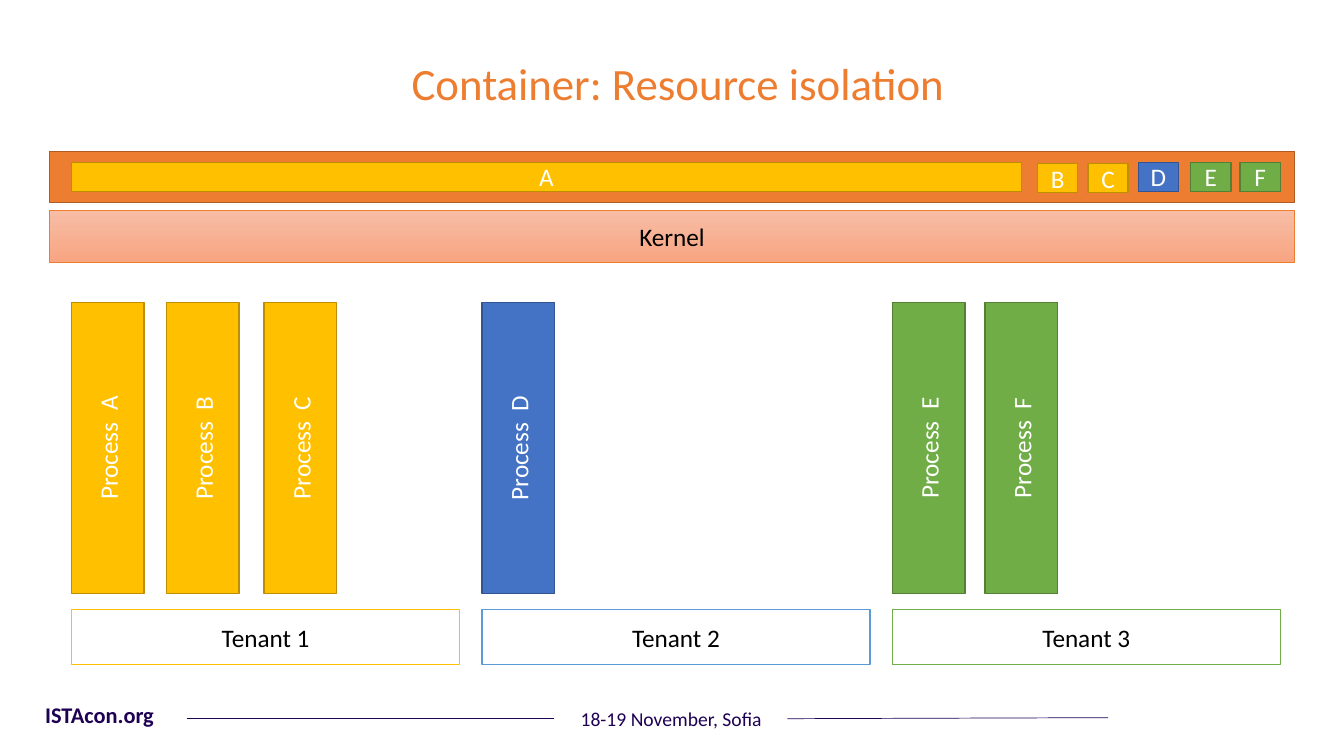
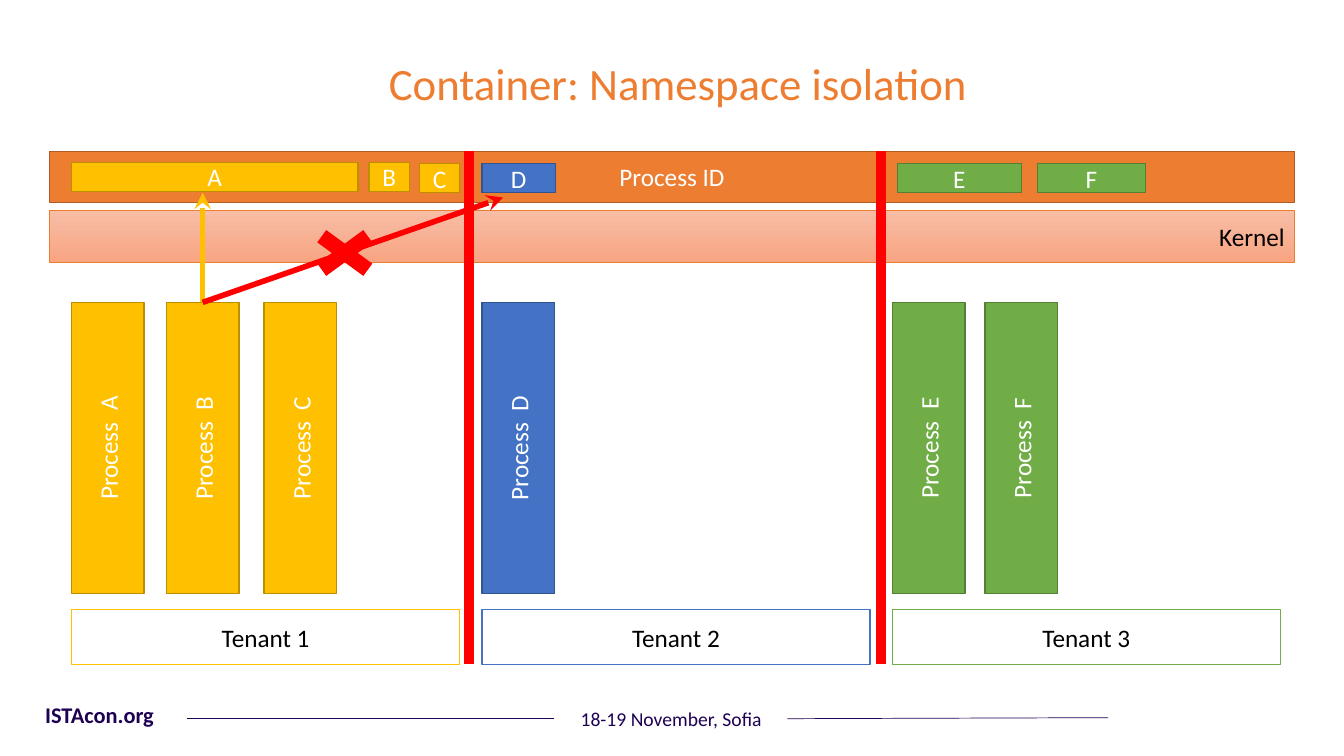
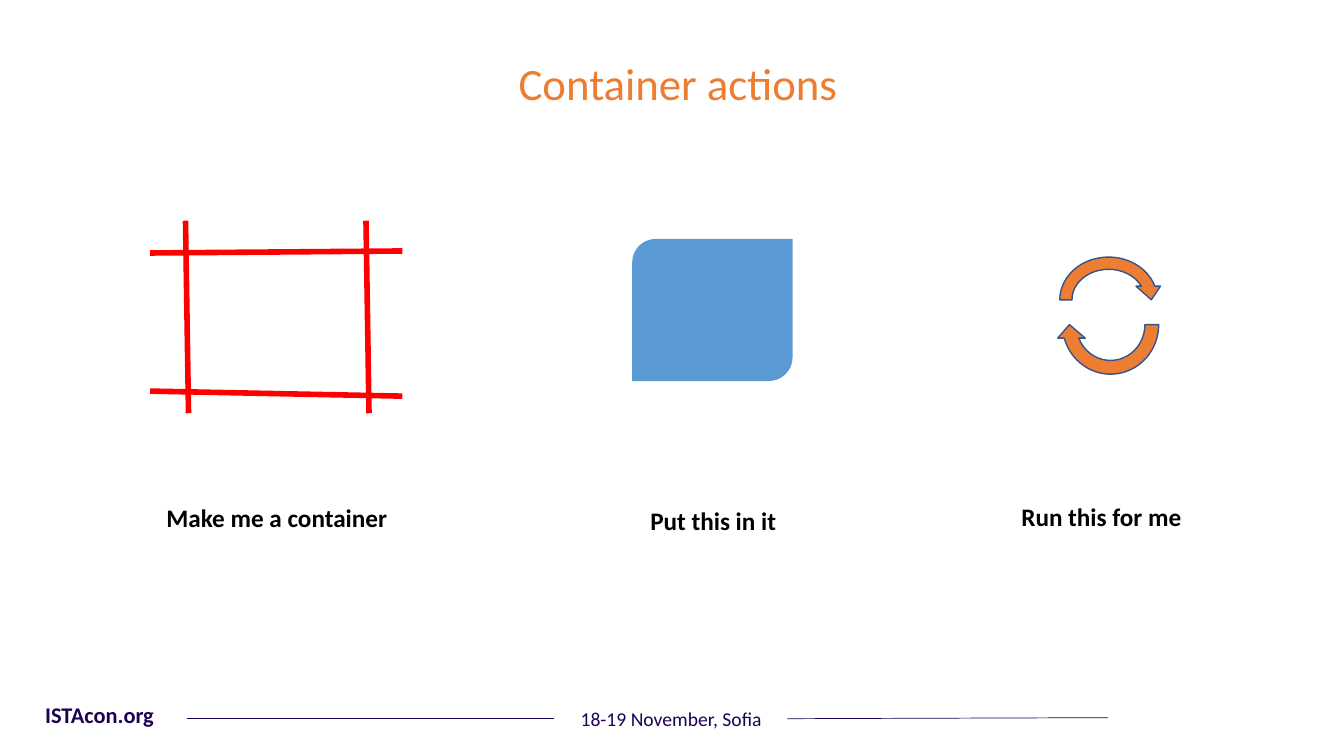
from dataclasses import dataclass

from lxml.etree import SubElement
from pptx import Presentation
from pptx.dml.color import RGBColor
from pptx.enum.shapes import MSO_CONNECTOR, MSO_SHAPE
from pptx.enum.text import MSO_ANCHOR, MSO_AUTO_SIZE, PP_ALIGN
from pptx.oxml.ns import qn
from pptx.shapes.autoshape import Shape
from pptx.shapes.connector import Connector
from pptx.slide import Slide
from pptx.text.text import TextFrame
from pptx.util import Inches, Pt

# Shared style
FONT = "Calibri"
WHITE, BLACK, RED = "FFFFFF", "000000", "FF0000"
ORANGE, NAVY, BLUE = "ED7D31", "1E0153", "5B9BD5"


@dataclass(frozen=True)
class Tone:
    fill: str
    edge: str


GOLD = Tone("FFC000", "BD8E00")
ROYAL = Tone("4472C4", "325491")
GREEN = Tone("70AD47", "538035")
TONES = {"A": GOLD, "B": GOLD, "C": GOLD, "D": ROYAL, "E": GREEN, "F": GREEN}


@dataclass(frozen=True)
class Block:
    name: str
    left: float
    width: float
    top: float = 1.61


@dataclass(frozen=True)
class Line:
    x1: float
    y1: float
    x2: float
    y2: float


# Shared layout
RULES = (Line(1.85, 7.13, 5.49, 7.13), Line(7.81, 7.13, 10.99, 7.12))
EDGE, STEP = 0.71, 4.07
BAR_TOP, BAR_LONG, BAR_WIDE = 3.0, 2.89, 0.72
BARS = {"A": EDGE, "B": 1.65, "C": 2.62,
        "D": EDGE + STEP, "E": EDGE + 2 * STEP, "F": 9.77}


def color(code: str) -> RGBColor:
    return RGBColor.from_string(code)


def style(frame: TextFrame, text: str, size: float, ink: str,
          bold: bool = False, align: PP_ALIGN = PP_ALIGN.LEFT) -> None:
    frame.text = text
    para = frame.paragraphs[0]
    para.alignment = align
    font = para.runs[0].font
    font.name, font.size, font.bold = FONT, Pt(size), bold
    font.color.rgb = color(ink)


def label(slide: Slide, text: str, left: float, top: float, width: float,
          height: float, size: float, ink: str, bold: bool = False,
          align: PP_ALIGN = PP_ALIGN.LEFT) -> TextFrame:
    box = slide.shapes.add_textbox(
        Inches(left), Inches(top), Inches(width), Inches(height))
    frame = box.text_frame
    frame.word_wrap = True
    style(frame, text, size, ink, bold, align)
    return frame


def form(slide: Slide, kind: MSO_SHAPE, left: float, top: float, width: float,
         height: float, fill: str, edge: str = "", weight: float = 1) -> Shape:
    shape = slide.shapes.add_shape(
        kind, Inches(left), Inches(top), Inches(width), Inches(height))
    shape.shadow.inherit = False
    shape.fill.solid()
    shape.fill.fore_color.rgb = color(fill)
    if edge:
        shape.line.color.rgb = color(edge)
        shape.line.width = Pt(weight)
    else:
        shape.line.fill.background()
    return shape


def panel(slide: Slide, text: str, left: float, top: float, width: float,
          height: float, tone: Tone, ink: str = WHITE, weight: float = 1,
          align: PP_ALIGN = PP_ALIGN.CENTER) -> Shape:
    shape = form(slide, MSO_SHAPE.RECTANGLE, left, top, width, height,
                 tone.fill, tone.edge, weight)
    if text:
        frame = shape.text_frame
        frame.word_wrap = True
        frame.vertical_anchor = MSO_ANCHOR.MIDDLE
        frame.margin_left = frame.margin_right = Inches(0.1)
        frame.margin_top = frame.margin_bottom = Inches(0.08)
        style(frame, text, 18, ink, align=align)
    return shape


def stroke(slide: Slide, line: Line, ink: str, weight: float,
           arrow: bool = False, start: Shape | None = None) -> Connector:
    wire = slide.shapes.add_connector(
        MSO_CONNECTOR.STRAIGHT, Inches(line.x1), Inches(line.y1),
        Inches(line.x2), Inches(line.y2))
    wire.line.color.rgb = color(ink)
    wire.line.width = Pt(weight)
    if arrow:
        SubElement(wire.line._get_or_add_ln(), qn("a:tailEnd"), type="stealth")
    SubElement(wire._element.spPr, qn("a:effectLst"))
    if start is not None:
        # A bar turned by 270 degrees has its right side on top
        wire.begin_connect(start, 3)
        wire.begin_x, wire.begin_y = Inches(line.x1), Inches(line.y1)
    return wire


def page(deck: Presentation, title: str) -> Slide:
    slide = deck.slides.add_slide(deck.slide_layouts[6])
    head = label(slide, title, 1.62, 0.5, 10.21, 0.64, 32, ORANGE,
                 align=PP_ALIGN.CENTER)
    head.auto_size = MSO_AUTO_SIZE.SHAPE_TO_FIT_TEXT
    # Footer
    site = label(slide, "ISTAcon.org", 0.35, 6.94, 1.78, 0.4, 16, NAVY, True)
    date = label(slide, "18-19 November, Sofia", 5.66, 6.99, 2.01, 0.35,
                 14, NAVY)
    for frame in (site, date):
        frame.paragraphs[0].line_spacing = 0.9
    for rule in RULES:
        stroke(slide, rule, NAVY, 0.5)
    return slide


def system(slide: Slide, blocks: tuple[Block, ...], second: str,
           align: PP_ALIGN, band: str = "") -> dict[str, Shape]:
    # Tenants
    for i, edge in enumerate((GOLD.fill, second, GREEN.fill)):
        panel(slide, f"Tenant {i + 1}", EDGE + i * STEP, 6.05, 3.85, 0.54,
              Tone(WHITE, edge), BLACK)
    # Processes, turned upright about their centres
    bars = {}
    shift = (BAR_LONG - BAR_WIDE) / 2
    for name, left in BARS.items():
        bar = panel(slide, f"Process  {name}", left - shift, BAR_TOP + shift,
                    BAR_LONG, BAR_WIDE, TONES[name])
        bar.rotation = 270
        bars[name] = bar
    # Resource band and kernel
    panel(slide, band, 0.49, 1.5, 12.35, 0.51, Tone(ORANGE, "AF5C24"))
    core = panel(slide, "Kernel", 0.49, 2.09, 12.35, 0.51,
                 Tone(ORANGE, ORANGE), BLACK, 0.5, align)
    core.fill.gradient()
    core.fill.gradient_angle = 270
    for stop, code in zip(core.fill.gradient_stops, ("F7BDA5", "F8A582")):
        stop.color.rgb = color(code)
    # Shares of the band
    for block in blocks:
        panel(slide, block.name, block.left, block.top, block.width, 0.29,
              TONES[block.name])
    return bars


def resource(deck: Presentation) -> None:
    slide = page(deck, "Container: Resource isolation")
    blocks = (Block("A", EDGE, 9.42), Block("F", 12.3, 0.4),
              Block("E", 11.81, 0.4), Block("D", 11.29, 0.4),
              Block("C", 10.79, 0.4, 1.62), Block("B", 10.29, 0.4, 1.62))
    system(slide, blocks, BLUE, PP_ALIGN.CENTER)


def naming(deck: Presentation) -> None:
    slide = page(deck, "Container: Namespace isolation")
    blocks = (Block("A", EDGE, 2.84), Block("F", 10.29, 1.07, 1.62),
              Block("E", 8.9, 1.23, 1.62), Block("D", 4.78, 0.73, 1.62),
              Block("C", 4.16, 0.4, 1.62), Block("B", 3.66, 0.4))
    bars = system(slide, blocks, ROYAL.fill, PP_ALIGN.RIGHT, "Process ID")
    # Allowed access, walls, denied access
    mid = BARS["B"] + BAR_WIDE / 2
    stroke(slide, Line(mid, BAR_TOP, mid, 1.91), GOLD.fill, 4, True, bars["B"])
    for x in (4.65, 8.74):
        stroke(slide, Line(x, 1.5, x, 6.59), RED, 7)
    stroke(slide, Line(mid, BAR_TOP, 4.99, 1.96), RED, 4, True, bars["B"])
    form(slide, MSO_SHAPE.MATH_MULTIPLY, 2.98, 2.19, 0.88, 0.64, RED)


def actions(deck: Presentation) -> None:
    slide = page(deck, "Container actions")
    # Content and run cycle
    form(slide, MSO_SHAPE.ROUND_2_DIAG_RECTANGLE, 6.27, 2.37, 1.59, 1.41, BLUE)
    form(slide, MSO_SHAPE.CIRCULAR_ARROW, 10.45, 2.49, 1.09, 0.97,
         ORANGE, ROYAL.edge)
    back = form(slide, MSO_SHAPE.CIRCULAR_ARROW, 10.47, 2.66, 1.09, 1.12,
                ORANGE, ROYAL.edge)
    back.rotation = 180
    # Container frame
    for line in (Line(1.84, 2.19, 1.87, 4.1), Line(3.63, 2.19, 3.66, 4.1),
                 Line(1.49, 2.51, 3.99, 2.49), Line(1.49, 3.88, 3.99, 3.93)):
        stroke(slide, line, RED, 4)
    # Captions
    for text, left, top, width in (("Make me a container", 1.65, 4.98, 2.22),
                                   ("Put this in it", 6.45, 5.01, 1.26),
                                   ("Run this for me", 10.13, 4.97, 1.79)):
        frame = label(slide, text, left, top, width, 0.39, 18, BLACK, True)
        frame.margin_left = frame.margin_right = 0
        frame.margin_top = frame.margin_bottom = 0
        frame.word_wrap = False
        frame.auto_size = MSO_AUTO_SIZE.SHAPE_TO_FIT_TEXT


def main() -> None:
    deck = Presentation()
    deck.slide_width, deck.slide_height = Inches(13.33), Inches(7.5)
    for build in (resource, naming, actions):
        build(deck)
    deck.save("out.pptx")


if __name__ == "__main__":
    main()
